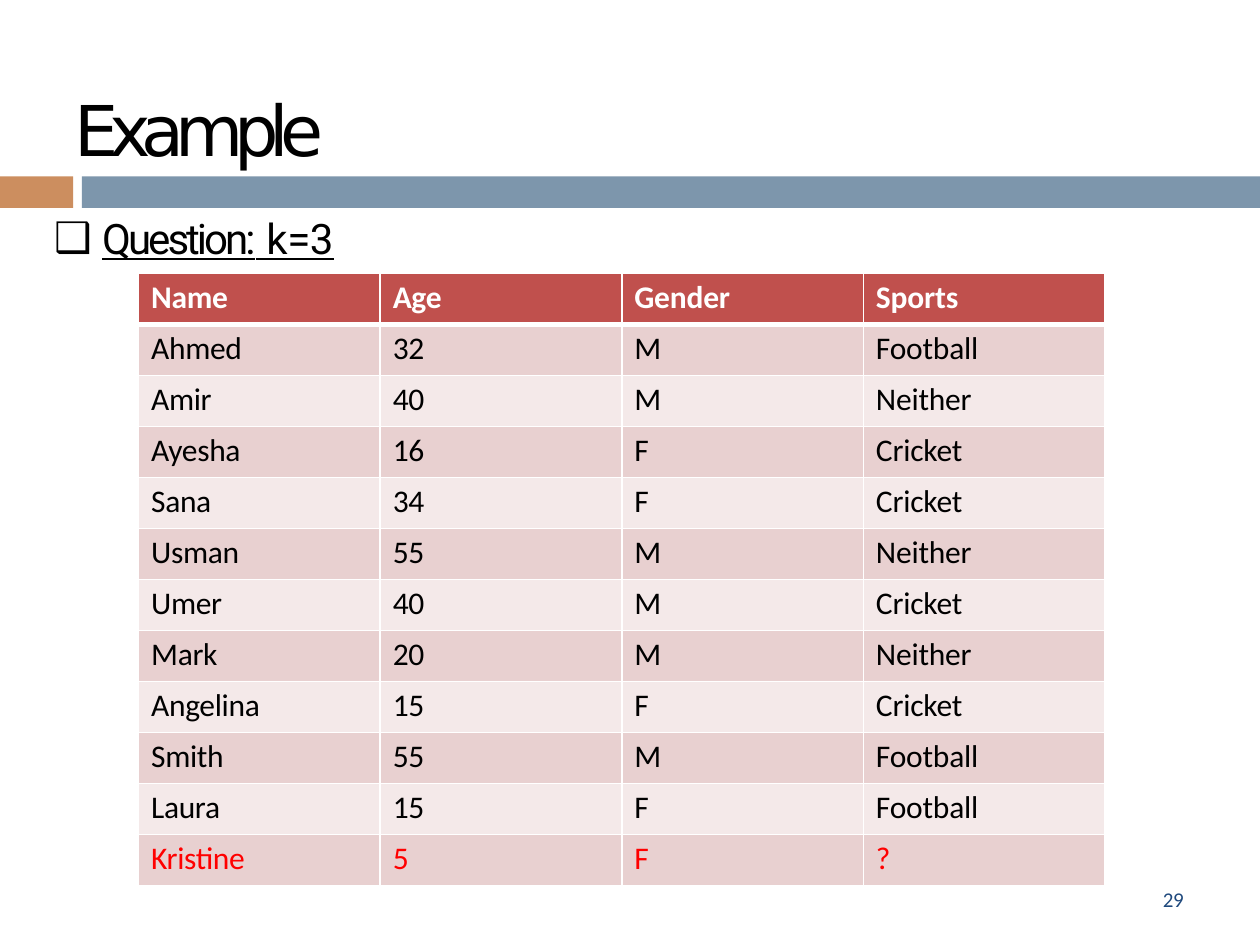
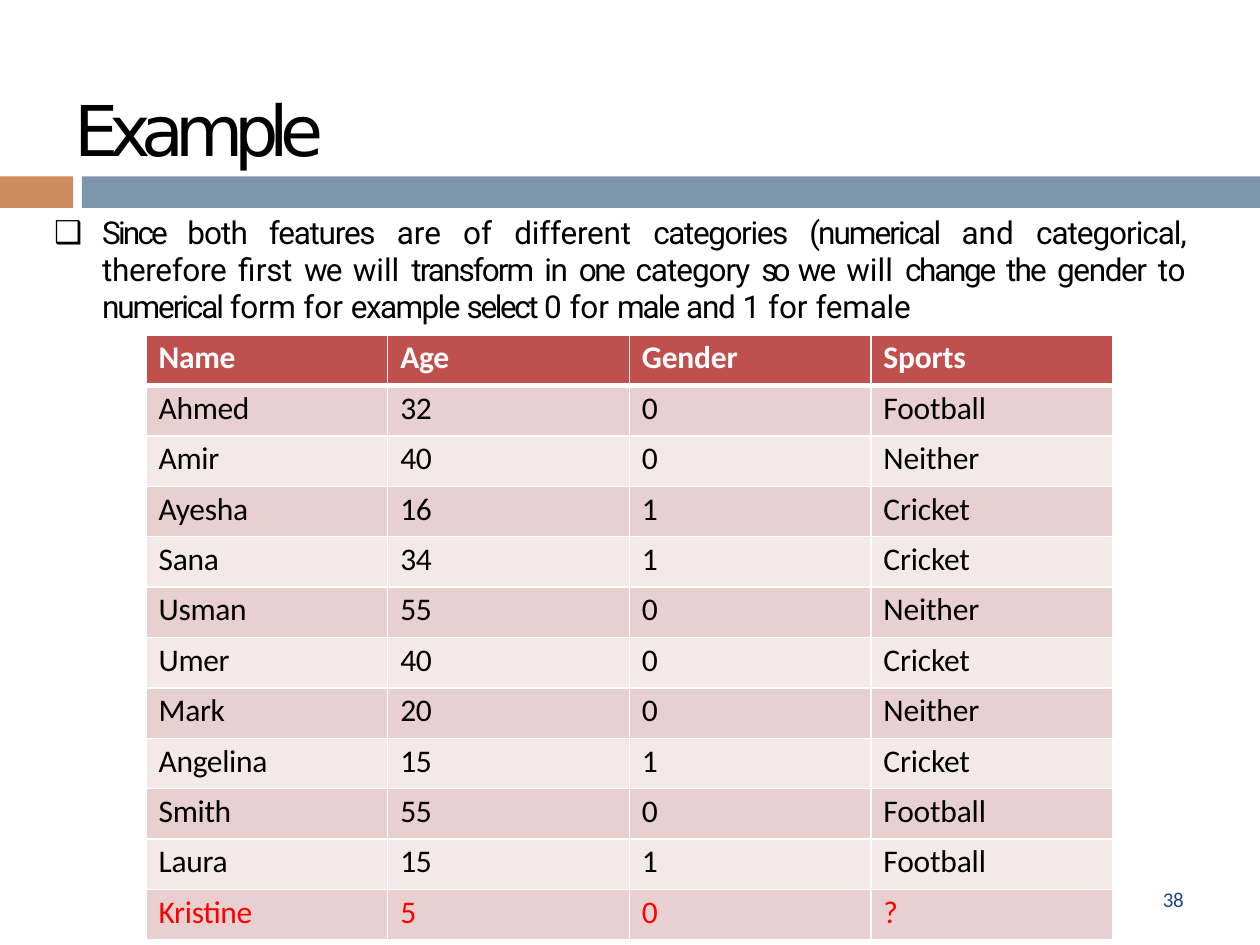
from lxml import etree
from pptx import Presentation
from pptx.dml.color import RGBColor
from pptx.enum.shapes import MSO_SHAPE
from pptx.enum.text import MSO_ANCHOR, MSO_AUTO_SIZE, PP_ALIGN
from pptx.oxml.ns import qn
from pptx.util import Inches, Pt

RECTANGLE = MSO_SHAPE.RECTANGLE
TOP = MSO_ANCHOR.TOP
NO_FIT = MSO_AUTO_SIZE.NONE
LEFT, JUSTIFY = PP_ALIGN.LEFT, PP_ALIGN.JUSTIFY

WHITE, BLACK, RED, NAVY = "FFFFFF", "000000", "FF0000", "1F497D"
HEADER_FILL, ROW_FILLS = "C0504D", ("E8D0D0", "F4E9E9")
BANDS = [(0, 0.58, "CC8E5F"), (0.65, 9.35, "7D96AC")]

HEADINGS = ("Name", "Age", "Gender", "Sports")
COLUMN_SPACING = (-0.2, -0.2, -0.1, -0.1)
PEOPLE = [
    ("Ahmed", "32", "Football"),
    ("Amir", "40", "Neither"),
    ("Ayesha", "16", "Cricket"),
    ("Sana", "34", "Cricket"),
    ("Usman", "55", "Neither"),
    ("Umer", "40", "Cricket"),
    ("Mark", "20", "Neither"),
    ("Angelina", "15", "Cricket"),
    ("Smith", "55", "Football"),
    ("Laura", "15", "Football"),
    ("Kristine", "5", "?"),
]

QUESTION = [("Question:", -1.7), (" ", 0.2), ("k=3", -0.2)]
EXPLANATION = [
    ("Since ", -1.6), ("both", -0.5), (" features ", -0.7), ("are of ", 0),
    ("different ", -0.1), ("categories ", -0.8), ("(numerical ", -1.1), ("and ", 0),
    ("categorical, ", -0.6), ("therefore first ", -0.2), ("we ", -1.1), ("will ", 0),
    ("transform ", -1.1), ("in ", -0.8), ("one ", -1.4), ("category ", -0.6),
    ("so ", -2.8), ("we ", -1.1), ("will ", 0), ("change ", -1.3), ("the ", -1),
    ("gender ", -0.8), ("to ", 0), ("numerical ", -1.2), ("form ", -0.2), ("for ", 0),
    ("example ", -0.9), ("select ", -1.4), ("0 for ", 0), ("male ", -1.1),
    ("and ", -0.7), ("1 for ", 0), ("female", -0.1),
]

# number, bullet spans, size, underline, alignment, line spacing, bullet box,
# bullet inset, genders, table box, cell inset
PAGES = [
    ("29", QUESTION, 24, True, LEFT, 1.0, (0.42, 1.68, 2.5, 0.43), 0.01,
     "MMFFMMMFMFF", (1.1, 2.17, 7.67, 4.86), 0.04),
    ("38", EXPLANATION, 18, False, JUSTIFY, 0.99, (0.42, 1.68, 8.99, 0.92), 0.02,
     "00110001010", (1.16, 2.66, 7.67, 4.8), 0.03),
]


def write(frame, spans, font, size, color, insets, bold=False, underline=None):
    """Fill the first paragraph with (text, letter spacing) spans and return it."""
    frame.margin_left, frame.margin_top = (Inches(inset) for inset in insets)
    frame.margin_right = frame.margin_bottom = 0
    para = frame.paragraphs[0]
    para.alignment, para.space_before = LEFT, Pt(0)
    for text, spacing in spans:
        span = para.add_run()
        span.text = text
        span._r.get_or_add_rPr().set("spc", str(round(spacing * 100)))
    para.font.name, para.font.size = font, Pt(size)
    para.font.bold, para.font.underline = bold, underline
    para.font.color.rgb = RGBColor.from_string(color)
    return para


def add_border(cell, side, width):
    line = etree.SubElement(cell._tc.get_or_add_tcPr(), qn(f"a:ln{side}"), w=str(Pt(width)))
    fill = etree.SubElement(line, qn("a:solidFill"))
    etree.SubElement(fill, qn("a:srgbClr"), val=WHITE)


deck = Presentation()
deck.slide_width, deck.slide_height = Inches(10), Inches(7.5)

for (number, spans, size, underline, alignment, line_spacing, bullet_box,
     bullet_inset, genders, table_box, cell_inset) in PAGES:
    page = deck.slides.add_slide(deck.slide_layouts[1])

    for left, width, color in BANDS:
        band = page.shapes.add_shape(
            RECTANGLE, Inches(left), Inches(1.4), Inches(width), Inches(0.25))
        band.shadow.inherit = False
        band.fill.solid()
        band.fill.fore_color.rgb = RGBColor.from_string(color)
        band.line.fill.background()

    title, body = page.shapes.title, page.placeholders[1]
    for holder, box in ((title, (0.53, 0.29, 8.79, 1.15)), (body, bullet_box)):
        holder.left, holder.top, holder.width, holder.height = map(Inches, box)
        holder.text_frame.vertical_anchor = TOP
        holder.text_frame.auto_size = NO_FIT
        holder.text_frame.word_wrap = True
    write(title.text_frame, [("Example", -5.2)], "DejaVu Sans", 40, BLACK, (0.06, 0.4))

    properties = body.text_frame.paragraphs[0]._p.get_or_add_pPr()
    properties.set("marL", str(Inches(0.39)))
    properties.set("indent", str(-Inches(0.38)))
    etree.SubElement(properties, qn("a:buChar"), char="❑")
    tabs = etree.SubElement(properties, qn("a:tabLst"))
    etree.SubElement(tabs, qn("a:tab"), pos=str(Inches(0.39)), algn="l")
    para = write(body.text_frame, spans, "Roboto", size, BLACK, (0, bullet_inset),
                 underline=underline)
    para.alignment, para.line_spacing = alignment, line_spacing

    number_box = page.shapes.add_textbox(Inches(9.23), Inches(7.03), Inches(0.27), Inches(0.23))
    write(number_box.text_frame, [(number, -0.2)], "Calibri", 12, NAVY, (0, 0.01))

    rows = [HEADINGS] + [(name, age, gender, sport)
                         for (name, age, sport), gender in zip(PEOPLE, genders)]
    table = page.shapes.add_table(len(rows), len(HEADINGS), *map(Inches, table_box)).table
    for row, values in enumerate(rows):
        is_header = row == 0
        fill = HEADER_FILL if is_header else ROW_FILLS[(row - 1) % 2]
        color = WHITE if is_header else RED if row == len(rows) - 1 else BLACK
        for column, value in enumerate(values):
            cell = table.cell(row, column)
            cell.vertical_anchor = TOP
            write(cell.text_frame, [(value, COLUMN_SPACING[column])], "Calibri", 18,
                  color, (0, 0), bold=is_header)
            cell.margin_left, cell.margin_top = Inches(0.1), Inches(cell_inset)
            cell.margin_right = cell.margin_bottom = 0
            for side, width in (("L", 1), ("R", 1), ("T", 3 if row == 1 else 1),
                                ("B", 3 if is_header else 1)):
                add_border(cell, side, width)
            cell.fill.solid()
            cell.fill.fore_color.rgb = RGBColor.from_string(fill)

deck.save("out.pptx")
